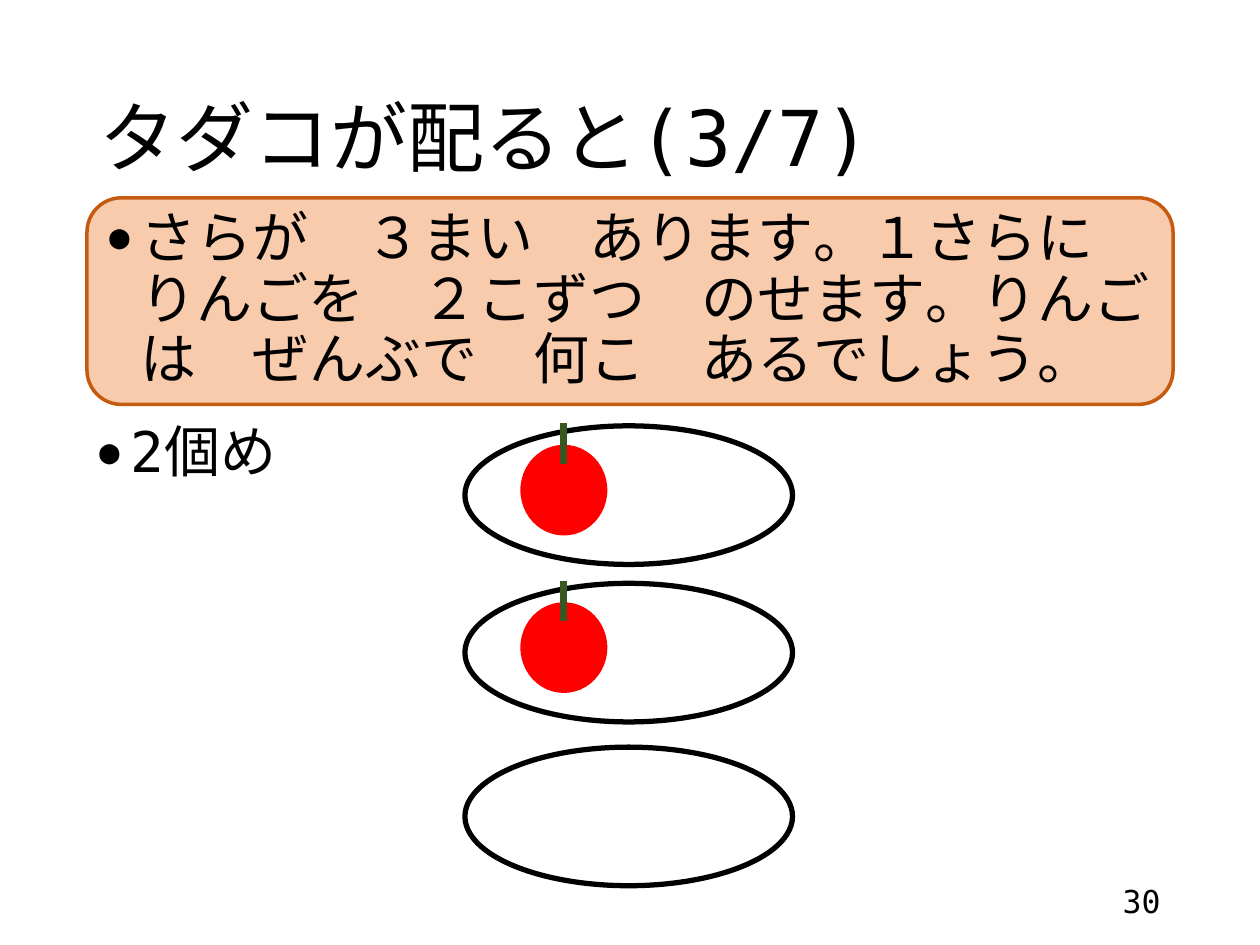
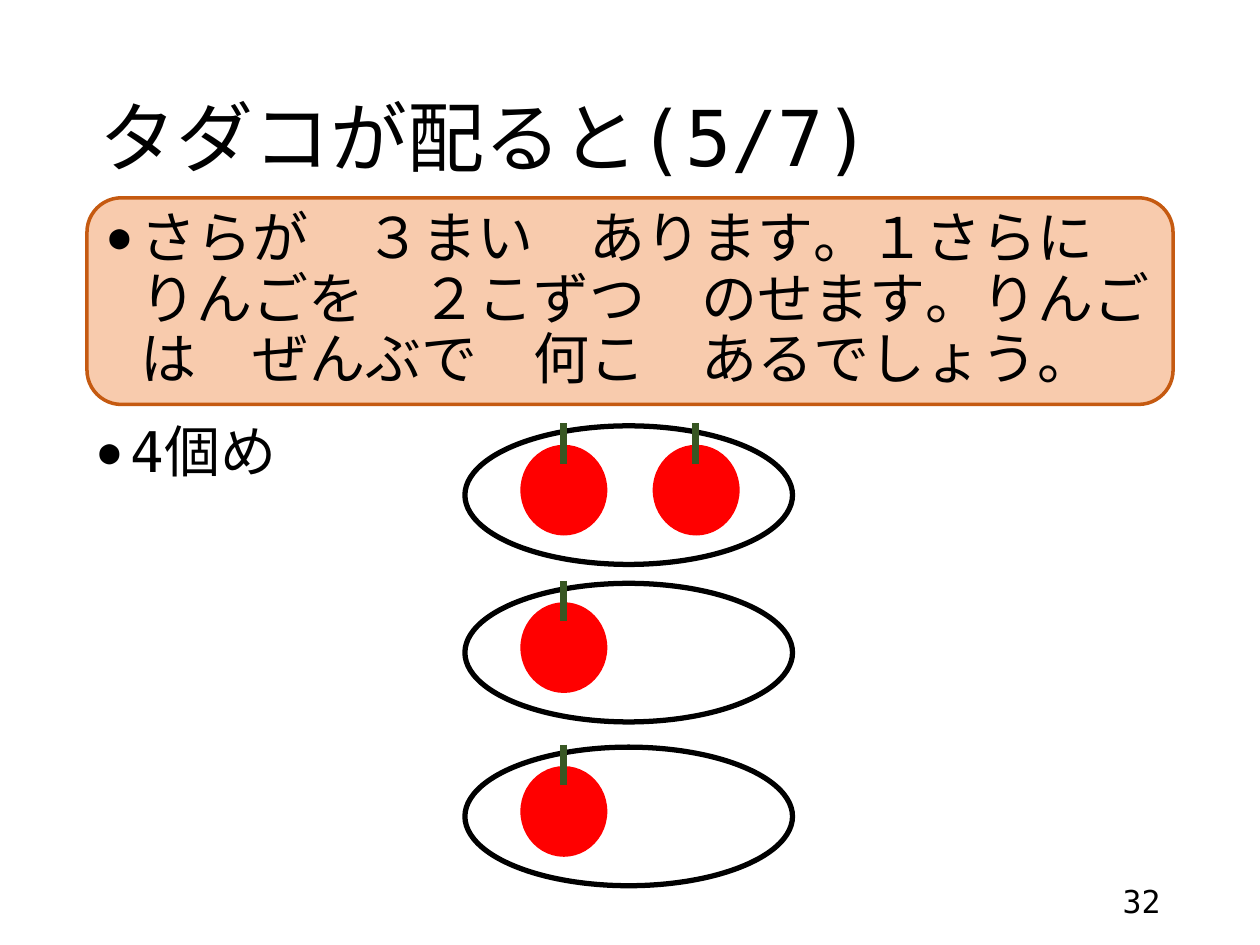
from dataclasses import dataclass

from lxml import etree
from pptx import Presentation
from pptx import util as u
from pptx.dml.color import RGBColor
from pptx.enum import lang, shapes, text
from pptx.oxml.ns import qn


@dataclass(frozen=True)
class Theme:
    font: str = "DejaVu Sans Mono"
    ink: str = "000000"
    plate: str = "FFFFFF"
    apple: str = "FF0000"
    stem: str = "385723"
    problem_fill: str = "F8CBAD"
    problem_edge: str = "C55A11"
    title_size: int = 44
    body_size: int = 32
    number_size: int = 18
    bullet_percent: int = 60
    line_spacing: float = 0.9


THEME = Theme()
MARGIN, CONTENT_WIDTH = 0.69, 8.62
PLATE_LEFT, PLATE_WIDTH, PLATE_HEIGHT = 3.69, 2.6, 1.1
PLATE_TOPS = (3.38, 4.63, 5.93)
APPLE_WIDTH, APPLE_HEIGHT = 0.69, 0.72
APPLE_INSET, APPLE_DROP, APPLE_STEP = 0.44, 0.15, 1.05
STEM_INSET, STEM_RISE, STEM_LENGTH = 0.34, 0.17, 0.32

PROBLEM = (
    "さらが　３まい　あります。１さらに　りんごを　２こずつ　のせます。"
    "りんごは　ぜんぶで　何こ　あるでしょう。"
)
STEPS = (
    {"title": "タダコが配ると(3/7)", "label": "2個め", "number": "30", "apples": (1, 1, 0)},
    {"title": "タダコが配ると(5/7)", "label": "4個め", "number": "32", "apples": (2, 1, 1)},
)


def apply_format(target, values):
    for name, value in values.items():
        setattr(target, name, value)


def inches(*lengths):
    return [u.Inches(length) for length in lengths]


def add_bullet(paragraph):
    properties = paragraph._p.get_or_add_pPr()
    properties.set("marL", str(u.Inches(0.25)))
    properties.set("indent", str(-u.Inches(0.25)))
    etree.SubElement(properties, qn("a:buSzPct")).set("val", str(THEME.bullet_percent * 1000))
    etree.SubElement(properties, qn("a:buFont")).set("typeface", THEME.font)
    etree.SubElement(properties, qn("a:buChar")).set("char", "●")


def write_text(holder, wording, size, anchor=text.MSO_ANCHOR.MIDDLE, bullet=False, **layout):
    frame = holder.text_frame
    apply_format(frame, {"word_wrap": True, "vertical_anchor": anchor})
    paragraph = frame.paragraphs[0]
    if bullet:
        add_bullet(paragraph)
    apply_format(paragraph, {"alignment": text.PP_ALIGN.LEFT, **layout})
    run = paragraph.add_run()
    run.text = wording
    apply_format(run.font, {
        "name": THEME.font,
        "size": u.Pt(size),
        "language_id": lang.MSO_LANGUAGE_ID.JAPANESE,
    })
    run.font.color.rgb = RGBColor.from_string(THEME.ink)
    etree.SubElement(run._r.get_or_add_rPr(), qn("a:ea")).set("typeface", THEME.font)


def add_text(slide, box, wording, size, **layout):
    write_text(slide.shapes.add_textbox(*inches(*box)), wording, size, **layout)


def add_figure(container, preset, box, fill, edge=None, weight=0):
    figure = container.shapes.add_shape(preset, *inches(*box))
    figure.shadow.inherit = False
    figure.fill.solid()
    figure.fill.fore_color.rgb = RGBColor.from_string(fill)
    if edge:
        figure.line.color.rgb = RGBColor.from_string(edge)
        figure.line.width = u.Pt(weight)
    else:
        figure.line.fill.background()
    return figure


def add_problem(slide):
    panel = add_figure(slide, shapes.MSO_SHAPE.ROUNDED_RECTANGLE,
                       (MARGIN, 1.57, CONTENT_WIDTH, 1.64),
                       THEME.problem_fill, THEME.problem_edge, 2)
    write_text(panel, PROBLEM, THEME.body_size, bullet=True,
               line_spacing=THEME.line_spacing)


def add_apple(slide, left, top):
    apple = slide.shapes.add_group_shape()
    add_figure(apple, shapes.MSO_SHAPE.OVAL,
               (left, top, APPLE_WIDTH, APPLE_HEIGHT), THEME.apple)
    stem_x, stem_top = left + STEM_INSET, top - STEM_RISE
    stem = apple.shapes.add_connector(
        shapes.MSO_CONNECTOR.STRAIGHT,
        *inches(stem_x, stem_top, stem_x, stem_top + STEM_LENGTH))
    stem.line.color.rgb = RGBColor.from_string(THEME.stem)
    stem.line.width = u.Pt(4)
    etree.SubElement(stem._element.spPr, qn("a:effectLst"))


def add_plate(slide, top, apple_count):
    add_figure(slide, shapes.MSO_SHAPE.OVAL,
               (PLATE_LEFT, top, PLATE_WIDTH, PLATE_HEIGHT),
               THEME.plate, THEME.ink, 3)
    for position in range(apple_count):
        add_apple(slide, PLATE_LEFT + APPLE_INSET + position * APPLE_STEP,
                  top + APPLE_DROP)


def add_step(deck, step):
    slide = deck.slides.add_slide(deck.slide_layouts[6])
    add_text(slide, (MARGIN, 0.4, CONTENT_WIDTH, 1.45), step["title"],
             THEME.title_size, line_spacing=THEME.line_spacing)
    add_text(slide, (7.06, 6.95, 2.25, 0.4), step["number"],
             THEME.number_size, alignment=text.PP_ALIGN.RIGHT)
    add_problem(slide)
    for top, apple_count in reversed(list(zip(PLATE_TOPS, step["apples"]))):
        add_plate(slide, top, apple_count)
    add_text(slide, (MARGIN, 3.32, CONTENT_WIDTH, 3.43), step["label"],
             THEME.body_size, anchor=text.MSO_ANCHOR.TOP, bullet=True,
             line_spacing=THEME.line_spacing)


def main():
    deck = Presentation()
    apply_format(deck, {"slide_width": u.Inches(10), "slide_height": u.Inches(7.5)})
    for step in STEPS:
        add_step(deck, step)
    deck.save("out.pptx")


if __name__ == "__main__":
    main()
